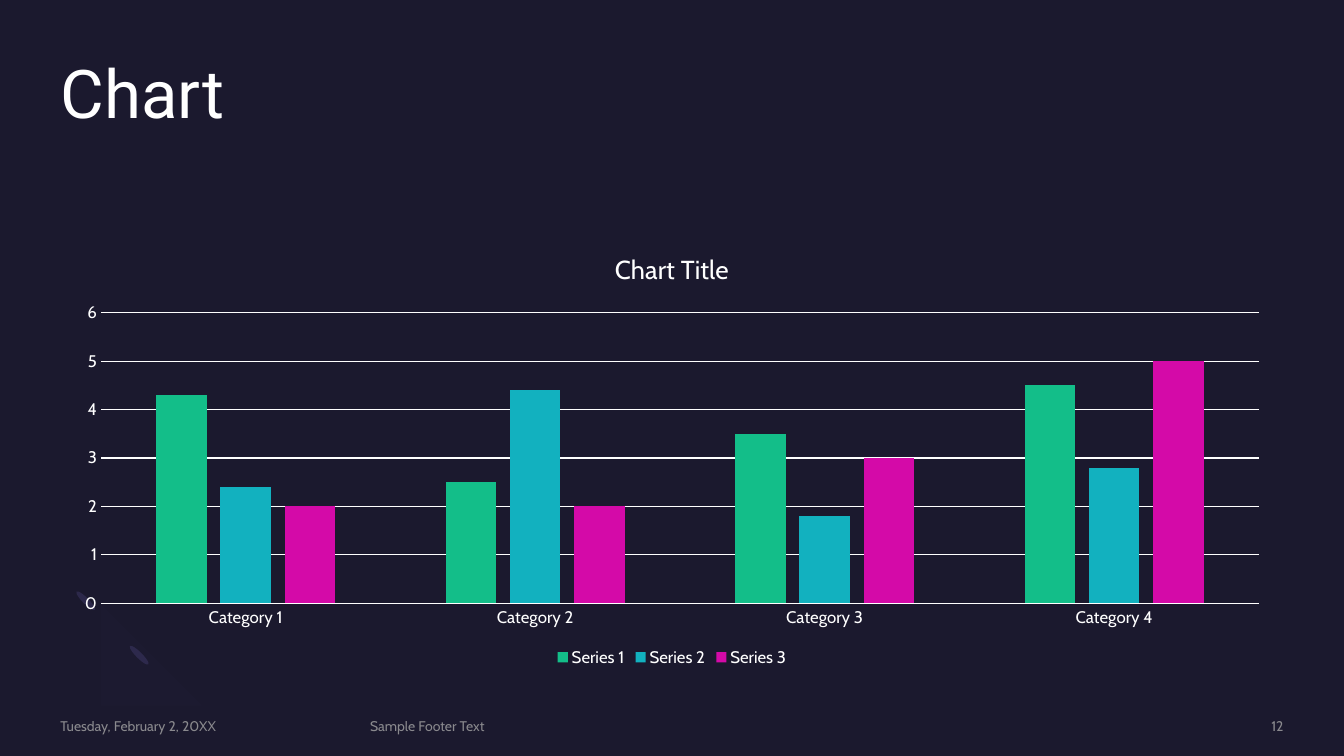
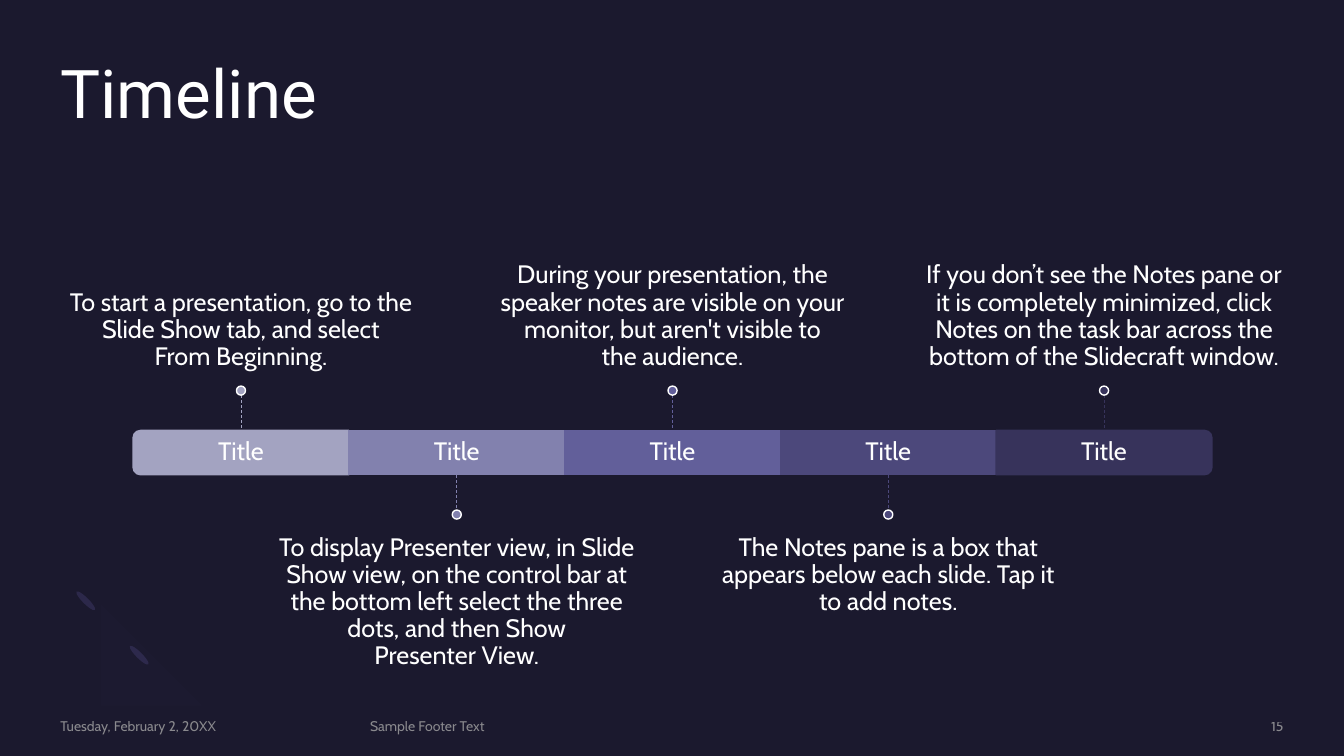
from dataclasses import dataclass
from lxml.etree import SubElement
from pptx import Presentation
from pptx.chart.data import CategoryChartData
from pptx.dml.color import RGBColor
from pptx.enum.chart import XL_CHART_TYPE, XL_LEGEND_POSITION, XL_TICK_MARK
from pptx.enum.dml import MSO_LINE
from pptx.enum.shapes import MSO_CONNECTOR, MSO_SHAPE
from pptx.enum.text import MSO_ANCHOR, MSO_AUTO_SIZE, PP_ALIGN
from pptx.oxml.ns import qn
from pptx.util import Inches, Pt


@dataclass(frozen=True)
class Theme:
    back: str = "1B192E"
    text: str = "FFFFFF"
    muted: str = "A6A6A6"
    petal: str = "2C284A"
    ring: str = "7771B2"
    head: str = "Roboto"
    body: str = "Cabin"
    title: float = 48
    copy: float = 18
    chart: float = 18.6
    axis: float = 12
    foot: float = 10


THEME = Theme()

FOOTER = [
    ("Tuesday, February 2, 20XX", 0.6, 2.88, PP_ALIGN.LEFT),
    ("Sample Footer Text", 3.67, 6.98, PP_ALIGN.LEFT),
    ("{page}", 10.88, 1.85, PP_ALIGN.RIGHT),
]
PETALS = [(1.35, 6.37), (0.82, 5.83)]
RING = [
    [(0.76, 6.59), (0.56, 6.39), (0.58, 6.05), (0.81, 5.82)],
    [(0.99, 6), (0.87, 6.11), (0.86, 6.29), (0.96, 6.38)],
    [(0.96, 6.38), (1.06, 6.48), (1.23, 6.47), (1.35, 6.36)],
    [(1.52, 6.54), (1.3, 6.76), (0.95, 6.79), (0.76, 6.59)],
]

CATS = ["Category 1", "Category 2", "Category 3", "Category 4"]
SERIES = [
    ("Series 1", (4.3, 2.5, 3.5, 4.5), "13BE89"),
    ("Series 2", (2.4, 4.4, 1.8, 2.8), "12B1BF"),
    ("Series 3", (2, 2, 3, 5), "D40AA8"),
]

STEPS = [
    ("Title", "A3A3C1", "To start a presentation, go to the Slide Show tab, "
     "and select\vFrom Beginning."),
    ("Title", "8281AE", "To display Presenter view, in Slide Show view, on the "
     "control bar at the bottom left select the three dots, and then Show\v"
     "Presenter View."),
    ("Title", "625F9A", "During your presentation, the speaker notes are visible "
     "on your monitor, but aren't visible to\vthe audience."),
    ("Title", "4C487B", "The Notes pane is a box that appears below each slide. "
     "Tap it to add notes."),
    ("Title", "37335B", "If you don’t see the Notes pane or it is completely "
     "minimized, click Notes on the task bar across the bottom of the "
     "Slidecraft window."),
]
BAR_X, BAR_Y, BAR_W, BAR_H = 1.32, 4.27, 2.14, 0.44
STEM, DOT, NOTE_W, NOTE_H = 0.35, 0.09, 3.57, 1.52


def rgb(code):
    return RGBColor.from_string(code)


def place(*nums):
    return [Inches(n) for n in nums]


def style(font, size, color=THEME.text, name=THEME.body):
    font.name, font.size, font.bold = name, Pt(size), False
    font.color.rgb = rgb(color)


def fade(node, part):
    color = next(node.iter(qn("a:srgbClr")))
    SubElement(color, qn("a:alpha")).set("val", str(part * 1000))


def paint(shape, fill, line=None):
    shape.shadow.inherit = False
    shape.fill.solid()
    shape.fill.fore_color.rgb = rgb(fill)
    if line:
        shape.line.color.rgb = rgb(line)
        shape.line.width = Pt(1)
    else:
        shape.line.fill.background()


def write(slide, text, box, size, align, anchor=MSO_ANCHOR.MIDDLE,
          color=THEME.text, top=0, base=0, gap=0.9):
    frame = slide.shapes.add_textbox(*place(*box)).text_frame
    frame.word_wrap, frame.vertical_anchor = True, anchor
    frame.margin_left = frame.margin_right = 0
    frame.margin_top, frame.margin_bottom = place(top, base)
    para = frame.paragraphs[0]
    para.text, para.alignment, para.line_spacing = text, align, gap
    style(para.font, size, color)
    return para


def curve(a, b, c, d, count=12):
    for i in range(count + 1):
        t = i / count
        u = 1 - t
        yield tuple(u**3 * p + 3 * u * u * t * q + 3 * u * t * t * r + t**3 * s
                    for p, q, r, s in zip(a, b, c, d))


def add_decor(slide):
    for x, y in PETALS:
        petal = slide.shapes.add_shape(MSO_SHAPE.OVAL, *place(x, y, 0.06, 0.26))
        petal.rotation = 135
        paint(petal, THEME.petal)
    dots = [dot for part in RING for dot in curve(*part)]
    pen = slide.shapes.build_freeform(*dots[0], scale=Inches(1))
    pen.add_line_segments(dots[1:], close=True)
    ring = pen.convert_to_shape()
    paint(ring, THEME.ring)
    fade(ring._element.spPr, 2)


def add_slide(deck, name, page):
    slide = deck.slides.add_slide(deck.slide_layouts[5])
    title = slide.shapes.title
    title.left, title.top, title.width, title.height = place(0.6, 0.6, 12.13, 1.46)
    frame = title.text_frame
    frame.margin_left = frame.margin_right = 0
    frame.margin_top = frame.margin_bottom = 0
    frame.auto_size, frame.vertical_anchor = MSO_AUTO_SIZE.NONE, MSO_ANCHOR.TOP
    para = frame.paragraphs[0]
    para.text, para.alignment, para.line_spacing = name, PP_ALIGN.LEFT, 0.9
    style(para.font, THEME.title, name=THEME.head)
    add_decor(slide)
    for text, x, width, align in FOOTER:
        para = write(slide, text.format(page=page), (x, 7.12, width, 0.17),
                     THEME.foot, align, color=THEME.muted, gap=1.0)
        fade(para._p, 80)
    return slide


def rule(line):
    line.color.rgb = rgb(THEME.text)
    line.width = Pt(0.75)


def add_columns(slide):
    data = CategoryChartData()
    data.categories = CATS
    for name, vals, _ in SERIES:
        data.add_series(name, vals)
    chart = slide.shapes.add_chart(XL_CHART_TYPE.COLUMN_CLUSTERED,
                                   *place(0.6, 2.31, 12.13, 4.35), data).chart
    style(chart.font, THEME.axis)
    chart.has_title = True
    head = chart.chart_title
    head.include_in_layout = False
    para = head.text_frame.paragraphs[0]
    para.text = "Chart Title"
    style(para.font, THEME.chart)
    chart.has_legend = True
    chart.legend.position = XL_LEGEND_POSITION.BOTTOM
    chart.legend.include_in_layout = False
    style(chart.legend.font, THEME.axis)
    for axis in (chart.category_axis, chart.value_axis):
        axis.major_tick_mark = axis.minor_tick_mark = XL_TICK_MARK.NONE
        style(axis.tick_labels.font, THEME.axis)
    rule(chart.category_axis.format.line)
    scale = chart.value_axis
    scale.minimum_scale, scale.maximum_scale, scale.major_unit = 0, 6, 1
    scale.format.line.fill.background()
    rule(scale.major_gridlines.format.line)
    plot = chart.plots[0]
    plot.gap_width, plot.overlap, plot.vary_by_categories = 219, -27, False
    for bar, (_, _, color) in zip(plot.series, SERIES):
        bar.format.fill.solid()
        bar.format.fill.fore_color.rgb = rgb(color)


def add_bar(slide, spot, color):
    x = BAR_X + spot * BAR_W
    turn = {0: 270, len(STEPS) - 1: 90}.get(spot)
    if turn is None:
        box, kind = (x, BAR_Y, BAR_W, BAR_H), MSO_SHAPE.RECTANGLE
    else:
        shift = (BAR_W - BAR_H) / 2
        box = (x + shift, BAR_Y - shift, BAR_H, BAR_W)
        kind = MSO_SHAPE.ROUND_2_SAME_RECTANGLE
    bar = slide.shapes.add_shape(kind, *place(*box))
    bar.rotation = turn or 0
    paint(bar, color, color)


def add_step(slide, spot, label, color, note):
    x = BAR_X + spot * BAR_W
    mid = x + BAR_W / 2
    add_bar(slide, spot, color)
    write(slide, label, (x, BAR_Y, BAR_W, BAR_H), THEME.copy, PP_ALIGN.CENTER)
    if spot % 2 == 0:
        start, end = BAR_Y - STEM, BAR_Y
        dot, top = start - DOT, start - DOT - NOTE_H
        look = {"anchor": MSO_ANCHOR.BOTTOM, "base": 0.15}
    else:
        start, end = BAR_Y + BAR_H, BAR_Y + BAR_H + STEM
        dot, top = end, end + DOT
        look = {"anchor": MSO_ANCHOR.TOP, "top": 0.15}
    write(slide, note, (mid - NOTE_W / 2, top, NOTE_W, NOTE_H),
          THEME.copy, PP_ALIGN.CENTER, **look)
    stem = slide.shapes.add_connector(MSO_CONNECTOR.STRAIGHT,
                                      *place(mid, start, mid, end))
    stem.line.color.rgb = rgb(color)
    stem.line.width, stem.line.dash_style = Pt(0.5), MSO_LINE.DASH
    SubElement(stem._element.spPr, qn("a:effectLst"))
    knob = slide.shapes.add_shape(MSO_SHAPE.OVAL,
                                  *place(mid - DOT / 2, dot, DOT, DOT))
    paint(knob, color, THEME.text)


def main():
    deck = Presentation()
    deck.slide_width, deck.slide_height = place(13.33, 7.5)
    fill = deck.slide_master.background.fill
    fill.solid()
    fill.fore_color.rgb = rgb(THEME.back)
    add_columns(add_slide(deck, "Chart", 12))
    slide = add_slide(deck, "Timeline", 15)
    for spot, step in enumerate(STEPS):
        add_step(slide, spot, *step)
    deck.save("out.pptx")


if __name__ == "__main__":
    main()
